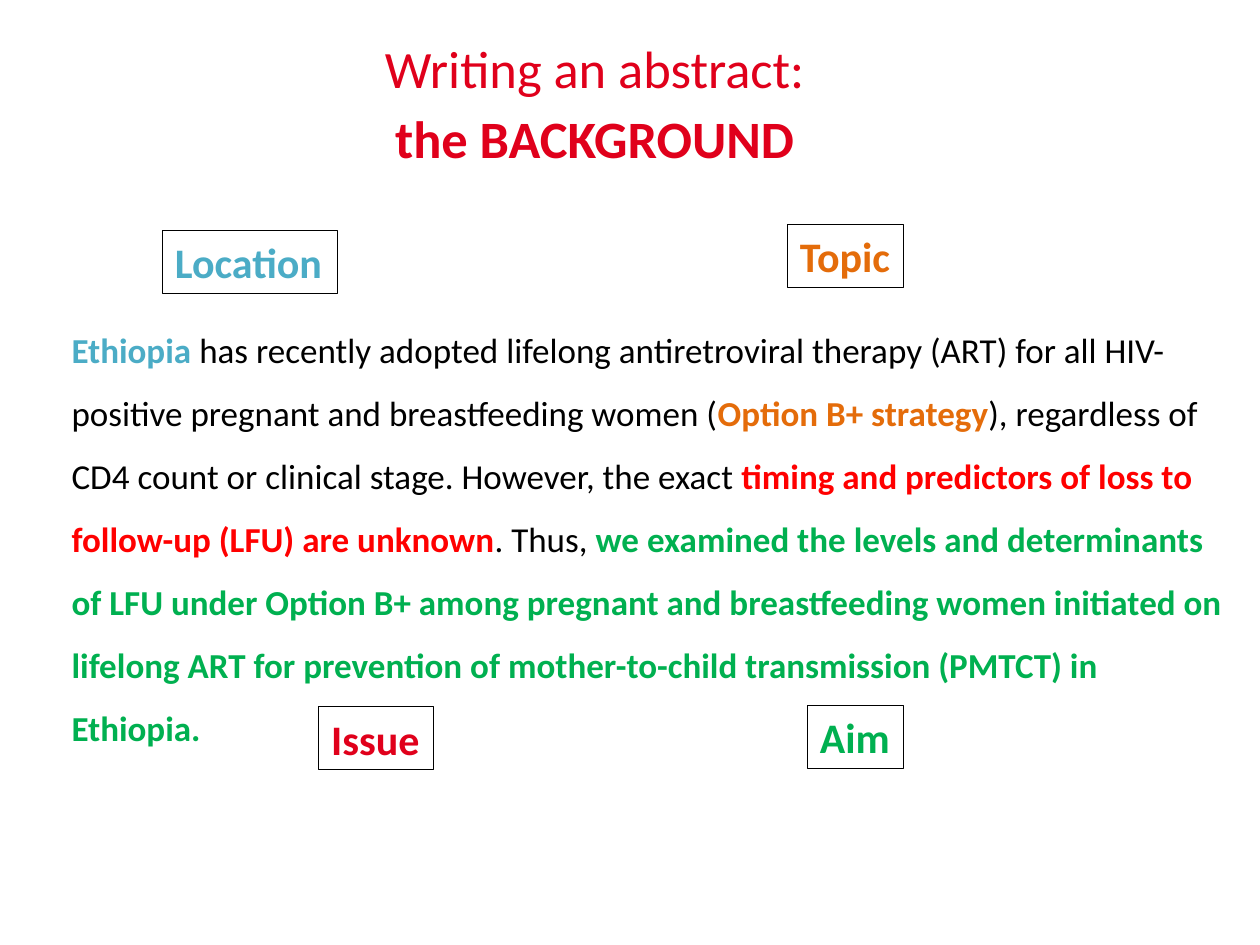
from dataclasses import dataclass

from pptx import Presentation
from pptx.dml.color import RGBColor
from pptx.enum.shapes import MSO_SHAPE
from pptx.enum.text import MSO_ANCHOR, MSO_AUTO_SIZE, PP_ALIGN
from pptx.slide import Slide
from pptx.util import Inches, Pt

RECTANGLE = MSO_SHAPE.RECTANGLE
MIDDLE = MSO_ANCHOR.MIDDLE
FIT_SHAPE = MSO_AUTO_SIZE.SHAPE_TO_FIT_TEXT
LEFT, CENTER = PP_ALIGN.LEFT, PP_ALIGN.CENTER

BLACK = "000000"
CRIMSON = "E0001B"
RED = "FF0000"
TEAL = "4BACC6"
ORANGE = "E46C0A"
GREEN = "00B050"


def color(value):
    """Turn a hex string into a colour."""
    return RGBColor.from_string(value)


@dataclass
class AbstractSlide:
    """Hold the style and the current slide."""

    slide: Slide
    font_name: str = "Calibri"
    title_size: int = 30
    label_size: int = 24
    body_size: int = 20

    def style(self, font, size, value, bold):
        """Set the look of a paragraph font."""
        font.name = self.font_name
        font.size = Pt(size)
        font.bold = bold
        font.color.rgb = color(value)

    def text_box(self, left, top, width, height):
        """Add a wrapping text box and return its text frame."""
        shape = self.slide.shapes.add_textbox(
            Inches(left), Inches(top), Inches(width), Inches(height))
        shape.text_frame.word_wrap = True
        return shape.text_frame

    def title(self, lines, box):
        """Add a centred title, one paragraph for each line."""
        frame = self.text_box(*box)
        frame.vertical_anchor = MIDDLE
        for index, (text, bold) in enumerate(lines):
            paragraph = frame.add_paragraph() if index else frame.paragraphs[0]
            paragraph.text = text
            paragraph.alignment = CENTER
            if index:
                paragraph.space_before = Pt(4)
            self.style(paragraph.font, self.title_size, CRIMSON, bold)

    def passage(self, parts, box):
        """Add a paragraph whose coloured parts are bold."""
        frame = self.text_box(*box)
        frame.auto_size = FIT_SHAPE
        paragraph = frame.paragraphs[0]
        paragraph.line_spacing = 1.5
        self.style(paragraph.font, self.body_size, BLACK, False)
        for text, value in parts:
            run = paragraph.add_run()
            run.text = text
            if value != BLACK:
                run.font.bold = True
                run.font.color.rgb = color(value)

    def label(self, text, value, left, top, width, height=0.5):
        """Add an outlined label."""
        shape = self.slide.shapes.add_shape(
            RECTANGLE, Inches(left), Inches(top), Inches(width), Inches(height))
        shape.shadow.inherit = False
        shape.fill.background()
        shape.line.color.rgb = color(BLACK)
        shape.line.width = Pt(0.75)
        frame = shape.text_frame
        frame.word_wrap = False
        frame.auto_size = FIT_SHAPE
        paragraph = frame.paragraphs[0]
        paragraph.text = text
        paragraph.alignment = LEFT
        self.style(paragraph.font, self.label_size, value, True)


def main():
    """Build and save the slide."""
    presentation = Presentation()
    presentation.slide_width = Inches(10)
    presentation.slide_height = Inches(7.5)
    page = AbstractSlide(presentation.slides.add_slide(presentation.slide_layouts[6]))

    page.passage([
        ("Ethiopia", TEAL),
        (" has recently adopted lifelong antiretroviral therapy (ART) for all "
         "HIV-positive pregnant and breastfeeding women (", BLACK),
        ("Option B+ strategy", ORANGE),
        ("), regardless of CD4 count or clinical stage. However, the exact ", BLACK),
        ("timing and predictors of loss to follow-up (LFU) are unknown", RED),
        (". Thus, ", BLACK),
        ("we examined the levels and determinants of LFU under Option B+ among "
         "pregnant and breastfeeding women initiated on lifelong ART for prevention "
         "of mother-to-child transmission (PMTCT) in Ethiopia.", GREEN),
    ], (0.47, 2.39, 9.33, 3.58))

    for label in [
        ("Location", TEAL, 1.29, 1.83, 1.39),
        ("Topic", ORANGE, 6.25, 1.78, 0.92),
        ("Aim", GREEN, 6.41, 5.6, 0.76),
        ("Issue", CRIMSON, 2.53, 5.61, 0.91),
    ]:
        page.label(*label)

    page.title([("Writing an abstract:", False), ("the BACKGROUND", True)],
               (-0.36, 0, 10.16, 1.63))
    presentation.save("out.pptx")


if __name__ == "__main__":
    main()
